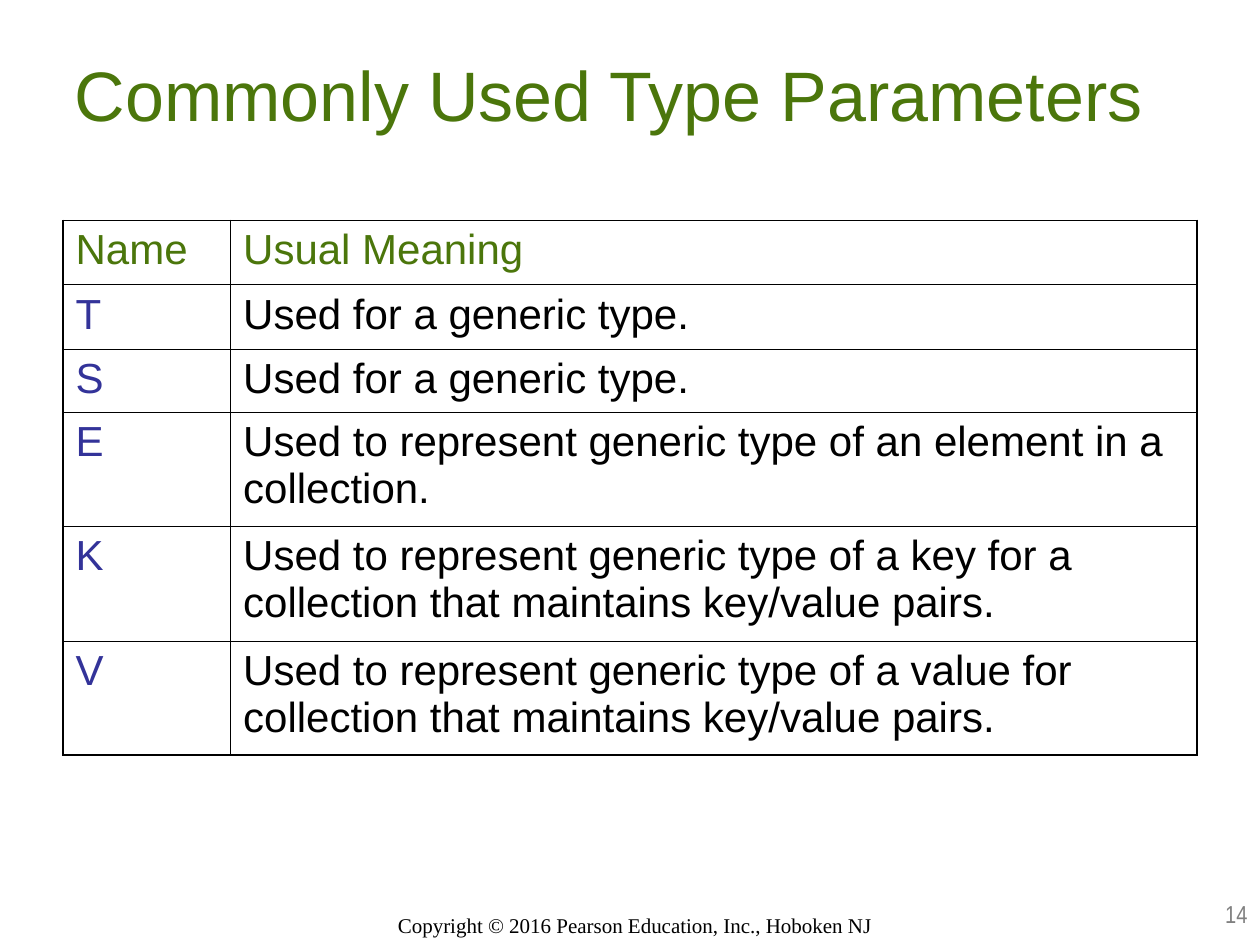
from dataclasses import dataclass

import pptx
import pptx.dml.color
import pptx.enum.text
import pptx.oxml.ns
import pptx.util
from lxml import etree

Inches = pptx.util.Inches
Align = pptx.enum.text.PP_ALIGN
Anchor = pptx.enum.text.MSO_ANCHOR


@dataclass(frozen=True)
class TextStyle:
    size: int
    color: str
    font: str = "Arial"


@dataclass(frozen=True)
class Theme:
    title: TextStyle = TextStyle(40, "4B760B")
    header: TextStyle = TextStyle(24, "4B760B")
    parameter: TextStyle = TextStyle(24, "333399")
    meaning: TextStyle = TextStyle(24, "000000")
    copyright: TextStyle = TextStyle(12, "000000", "Times New Roman")
    number: TextStyle = TextStyle(14, "808080", "Arial Narrow")
    border: str = "000000"
    outer_width: float = 1.08
    inner_width: float = 0.45


class SlideBuilder:
    def __init__(self, page, theme):
        self.page = page
        self.theme = theme

    def add_span(self, para, text, style):
        span = para.add_run()
        span.text = text
        span.font.size = pptx.util.Pt(style.size)
        span.font.name = style.font
        span.font.color.rgb = pptx.dml.color.RGBColor.from_string(style.color)

    def text(self, text, style, left, top, width, height, align, anchor):
        box = self.page.shapes.add_textbox(
            Inches(left), Inches(top), Inches(width), Inches(height))
        frame = box.text_frame
        frame.word_wrap = True
        frame.vertical_anchor = anchor
        para = frame.paragraphs[0]
        para.alignment = align
        self.add_span(para, text, style)

    def border(self, cell, side, width):
        qn = pptx.oxml.ns.qn
        properties = cell._tc.get_or_add_tcPr()
        line = etree.SubElement(properties, qn(f"a:ln{side}"),
                                w=str(int(pptx.util.Pt(width))))
        fill = etree.SubElement(line, qn("a:solidFill"))
        etree.SubElement(fill, qn("a:srgbClr"), val=self.theme.border)

    def table(self, rows, left, top, widths, heights):
        """Draw a table with a heavier outline than its inner rules."""
        theme = self.theme
        table = self.page.shapes.add_table(
            len(rows), len(widths), Inches(left), Inches(top),
            Inches(sum(widths)), Inches(sum(heights))).table
        table.first_row = table.horz_banding = False
        for column, width in zip(table.columns, widths):
            column.width = Inches(width)
        last_row, last_column = len(rows) - 1, len(widths) - 1
        for r, texts in enumerate(rows):
            table.rows[r].height = Inches(heights[r])
            styles = (theme.parameter, theme.meaning) if r else (theme.header,) * 2
            for c, (text, style) in enumerate(zip(texts, styles)):
                cell = table.cell(r, c)
                edges = {"L": c == 0, "R": c == last_column,
                         "T": r == 0, "B": r == last_row}
                for side, outer in edges.items():
                    self.border(cell, side,
                                theme.outer_width if outer else theme.inner_width)
                cell.fill.background()
                self.add_span(cell.text_frame.paragraphs[0], text, style)


def main():
    deck = pptx.Presentation()
    deck.slide_width, deck.slide_height = Inches(10), Inches(7.5)
    theme = Theme()
    slide = SlideBuilder(deck.slides.add_slide(deck.slide_layouts[6]), theme)

    slide.text("Copyright © 2016 Pearson Education, Inc., Hoboken NJ",
               theme.copyright, 3, 7.07, 4.08, 0.42, Align.CENTER, Anchor.BOTTOM)
    slide.text("14", theme.number, 7.92, 6.92, 2.08, 0.5,
               Align.RIGHT, Anchor.BOTTOM)
    slide.text("Commonly Used Type Parameters", theme.title,
               0.33, 0.33, 9, 0.83, Align.CENTER, Anchor.MIDDLE)
    slide.table(
        [
            ("Name", "Usual Meaning"),
            ("T", "Used for a generic type."),
            ("S", "Used for a generic type."),
            ("E", "Used to represent generic type of an element in a collection."),
            ("K", "Used to represent generic type of a key for a collection "
                  "that maintains key/value pairs."),
            ("V", "Used to represent generic type of a value for collection "
                  "that maintains key/value pairs."),
        ],
        0.5, 1.75, widths=[1.33, 7.67],
        heights=[0.51, 0.51, 0.5, 0.91, 0.91, 0.9])

    deck.save("out.pptx")


if __name__ == "__main__":
    main()
